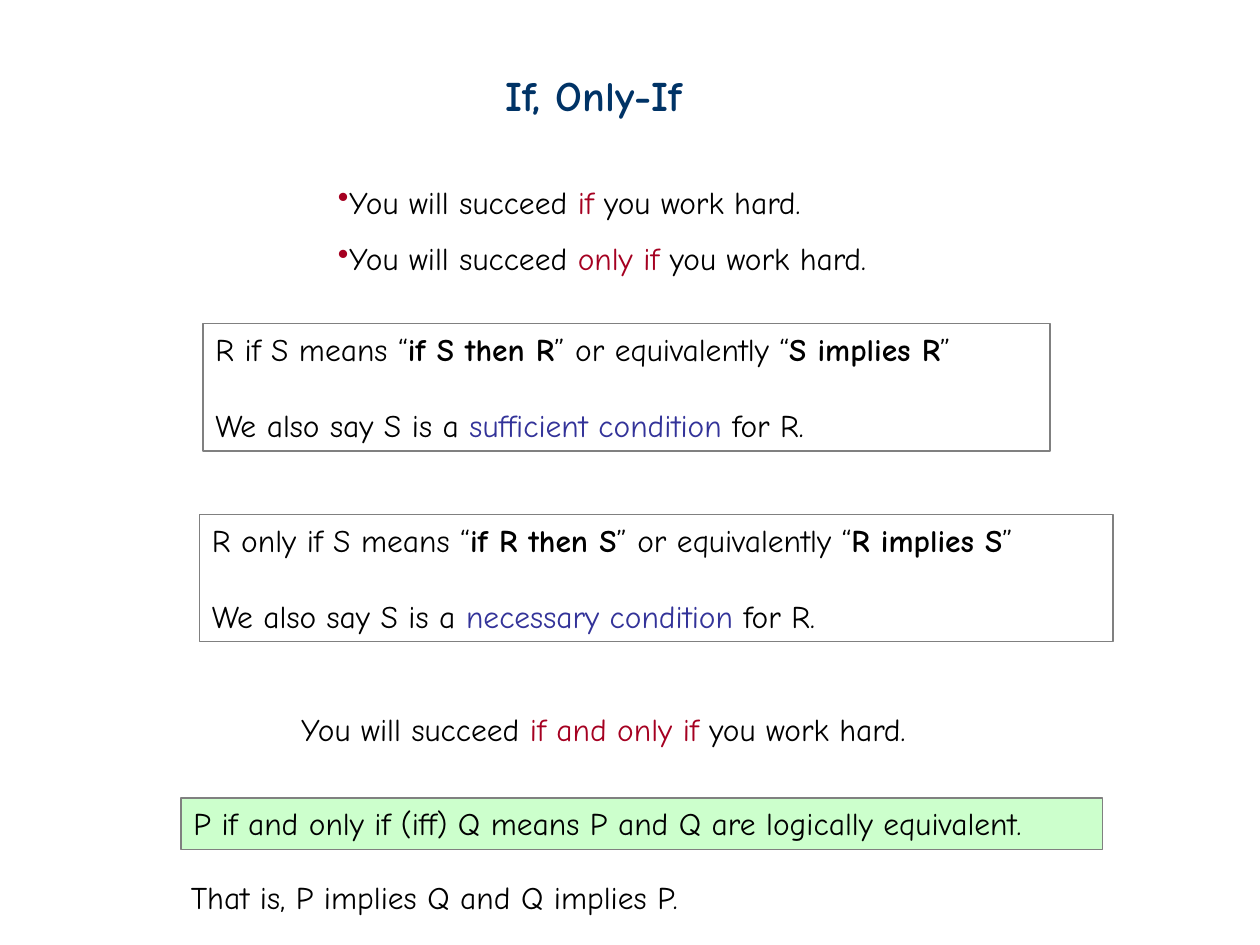
from lxml import etree
from pptx import Presentation
from pptx.dml.color import RGBColor
from pptx.enum import shapes, text
from pptx.oxml.ns import qn
from pptx.util import Pt

FONT = "Comic Neue"
BODY_SIZE = 18
BLACK = RGBColor(0x00, 0x00, 0x00)
NAVY = RGBColor(0x00, 0x33, 0x66)
RED = RGBColor(0xA5, 0x00, 0x21)
BLUE = RGBColor(0x33, 0x33, 0x99)
GRAY = RGBColor(0x80, 0x80, 0x80)
GREEN = RGBColor(0xCC, 0xFF, 0xCC)


def add_runs(paragraph, pieces, size=BODY_SIZE):
    """Each piece is (wording, colour, bold)."""
    paragraph.alignment = text.PP_ALIGN.LEFT
    for wording, color, bold in pieces:
        run = paragraph.add_run()
        run.text = wording
        run.font.name = FONT
        run.font.size = Pt(size)
        run.font.bold = bold
        run.font.color.rgb = color


def plain(wording):
    return wording, BLACK, False


def strong(wording):
    return wording, BLACK, True


def colored(wording, color):
    return wording, color, False


def fill_text(shape, lines, size=BODY_SIZE, gap=0):
    frame = shape.text_frame
    frame.word_wrap = True
    frame.auto_size = text.MSO_AUTO_SIZE.SHAPE_TO_FIT_TEXT
    frame.vertical_anchor = text.MSO_ANCHOR.TOP
    for index, pieces in enumerate(lines):
        paragraph = frame.add_paragraph() if index else frame.paragraphs[0]
        if index and gap:
            paragraph.space_before = Pt(gap)
        add_runs(paragraph, pieces, size)
    return frame


def add_text(slide, left, top, width, height, lines, size=BODY_SIZE):
    box = slide.shapes.add_textbox(Pt(left), Pt(top), Pt(width), Pt(height))
    return fill_text(box, lines, size)


def add_framed_text(slide, left, top, width, height, lines, fill=None):
    box = slide.shapes.add_shape(shapes.MSO_SHAPE.RECTANGLE,
                                 Pt(left), Pt(top), Pt(width), Pt(height))
    box.shadow.inherit = False
    box.line.color.rgb = GRAY
    box.line.width = Pt(0.75)
    if fill is None:
        box.fill.background()
    else:
        box.fill.solid()
        box.fill.fore_color.rgb = fill
    fill_text(box, lines, gap=21.7)


def add_bullet(paragraph):
    properties = paragraph._p.get_or_add_pPr()
    properties.set("marL", "0")
    properties.set("indent", str(-Pt(8.64)))
    bullet_color = etree.SubElement(properties, qn("a:buClr"))
    etree.SubElement(bullet_color, qn("a:srgbClr"), val=str(RED))
    etree.SubElement(properties, qn("a:buChar"), char="•")
    paragraph.line_spacing = 1.5


def success_claim(link):
    return [plain("You will succeed "), colored(link, RED), plain(" you work hard.")]


def condition_lines(link, premise, conclusion, kind):
    return [
        [plain(f"R {link} S means “"), strong(f"if {premise} then {conclusion}"),
         plain("” or equivalently “"), strong(f"{premise} implies {conclusion}"),
         plain("”")],
        [plain("We also say S is a "), colored(f"{kind} condition", BLUE),
         plain(" for R.")],
    ]


def main():
    presentation = Presentation()
    presentation.slide_width, presentation.slide_height = Pt(720), Pt(540)
    slide = presentation.slides.add_slide(presentation.slide_layouts[6])

    add_text(slide, 282, 36, 152, 36, [[("If, Only-If", NAVY, True)]], size=24)
    claims = add_text(slide, 186, 90, 345.6, 69,
                      [success_claim("if"), success_claim("only if")])
    for paragraph in claims.paragraphs:
        add_bullet(paragraph)

    add_framed_text(slide, 116, 185, 484, 72.7,
                    condition_lines("if", "S", "R", "sufficient"))
    add_framed_text(slide, 114, 294, 522, 72.7,
                    condition_lines("only if", "R", "S", "necessary"))

    add_text(slide, 165, 402, 389.5, 29, [success_claim("if and only if")])
    add_framed_text(
        slide, 103.5, 456, 526.5, 29.3,
        [[plain("P if and only if (iff) Q means P and Q are logically equivalent.")]],
        fill=GREEN)
    add_text(slide, 102, 498, 314.6, 29,
             [[plain("That is, P implies Q and Q implies P.")]])

    presentation.save("out.pptx")


if __name__ == "__main__":
    main()
